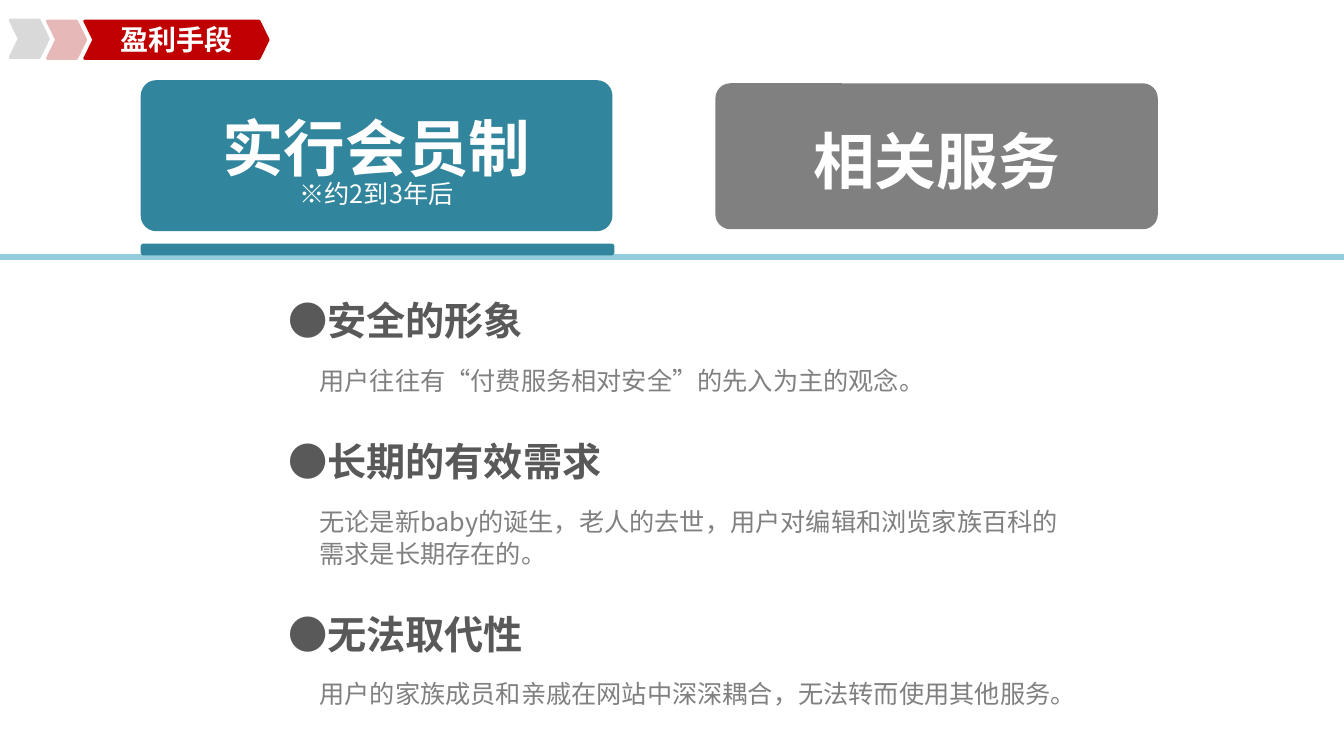
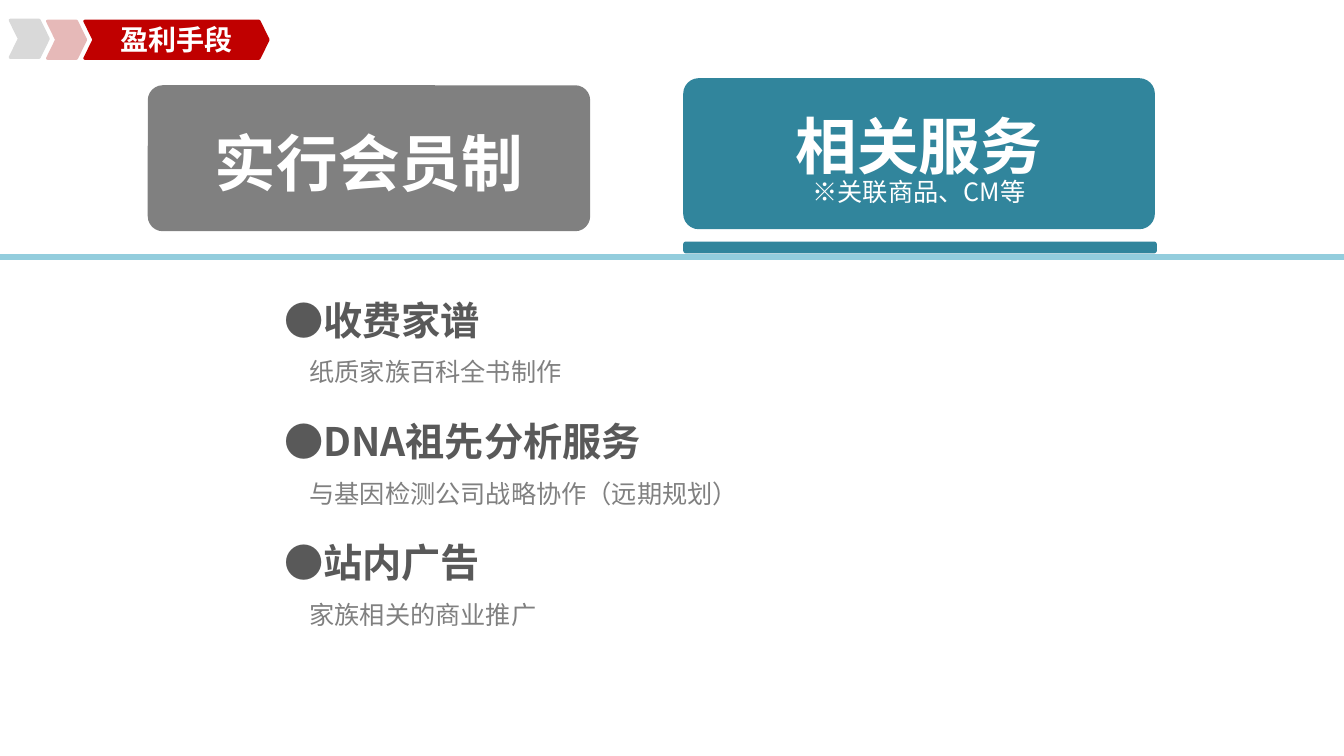
from lxml import etree
from pptx import Presentation
from pptx.dml.color import RGBColor
from pptx.enum import shapes, text
from pptx.oxml import ns
from pptx.util import Inches, Pt

FONT = "Noto Sans CJK SC"
WHITE = RGBColor(0xFF, 0xFF, 0xFF)
RED = RGBColor(0xC0, 0x00, 0x00)
PINK = RGBColor(0xE6, 0xB9, 0xB8)
SILVER = RGBColor(0xD9, 0xD9, 0xD9)
TEAL = RGBColor(0x31, 0x85, 0x9C)
SKY = RGBColor(0x93, 0xCD, 0xDD)
GREY = RGBColor(0x80, 0x80, 0x80)
CHARCOAL = RGBColor(0x59, 0x59, 0x59)

CHEVRONS = [(0.84, 0.21, 1.82, RED), (0.47, 0.21, 0.38, PINK), (0.1, 0.2, 0.38, SILVER)]
TITLE_ONLY = 5


class Deck:
    def __init__(self):
        self.deck = Presentation()
        self.deck.slide_width = Inches(13.33)
        self.deck.slide_height = Inches(7.5)
        self.page = None

    def add_page(self, title):
        self.page = self.deck.slides.add_slide(self.deck.slide_layouts[TITLE_ONLY])
        for left, top, width, color in CHEVRONS:
            self.shape(shapes.MSO_SHAPE.CHEVRON, left, top, width, 0.37, color, 0.245)
        self.title(title)
        self.rule(2.55)

    def title(self, words):
        box = self.page.shapes.title
        left, top, width, color = CHEVRONS[0]
        box.left, box.top = Inches(left), Inches(top)
        box.width, box.height = Inches(width), Inches(0.37)
        frame = box.text_frame
        frame.margin_top = frame.margin_bottom = 0
        frame.vertical_anchor = text.MSO_ANCHOR.MIDDLE
        para = frame.paragraphs[0]
        para.alignment = text.PP_ALIGN.CENTER
        self.span(para, words, 20, WHITE, True)
        box.element.getparent().append(box.element)

    def rule(self, top):
        line = self.page.shapes.add_connector(
            shapes.MSO_CONNECTOR.STRAIGHT, 0, Inches(top), self.deck.slide_width, Inches(top))
        line.line.color.rgb = SKY
        line.line.width = Pt(4.5)
        etree.SubElement(line.element.spPr, ns.qn("a:effectLst"))

    def shape(self, kind, left, top, width, height, color, adjustment=None):
        box = self.page.shapes.add_shape(
            kind, Inches(left), Inches(top), Inches(width), Inches(height))
        box.shadow.inherit = False
        box.fill.solid()
        box.fill.fore_color.rgb = color
        box.line.color.rgb = color
        box.line.width = Pt(2)
        if adjustment is not None:
            box.adjustments[0] = adjustment
        return box

    def span(self, para, words, size, color, bold=False):
        span = para.add_run()
        span.text = words
        span.font.name = FONT
        span.font.size = Pt(size)
        span.font.bold = bold
        span.font.color.rgb = color
        east_asian = etree.SubElement(span.font._element, ns.qn("a:ea"))
        east_asian.set("typeface", FONT)

    def tab(self, left, top, width, height, color, name, note=None):
        box = self.shape(
            shapes.MSO_SHAPE.ROUNDED_RECTANGLE, left, top, width, height, color, 0.095)
        frame = box.text_frame
        frame.vertical_anchor = text.MSO_ANCHOR.MIDDLE
        para = frame.paragraphs[0]
        para.alignment = text.PP_ALIGN.CENTER
        para.line_spacing = Pt(58)
        self.span(para, name, 44, WHITE, True)
        if note:
            para = frame.add_paragraph()
            para.alignment = text.PP_ALIGN.CENTER
            para.line_spacing = Pt(18)
            self.span(para, note, 18, WHITE)

    def active_tab(self, left, top, name, note):
        self.shape(shapes.MSO_SHAPE.ROUNDED_RECTANGLE, left, top + 1.62, 4.67, 0.09, TEAL)
        self.tab(left, top, 4.65, 1.47, TEAL, name, note)

    def idle_tab(self, left, top, name):
        self.tab(left, top, 4.36, 1.42, GREY, name)

    def points(self, left, width, height, indent, gaps, entries):
        box = self.page.shapes.add_textbox(
            Inches(left), Inches(2.86), Inches(width), Inches(height))
        frame = box.text_frame
        frame.word_wrap = True
        after_heading, after_body = gaps
        for number, (heading, *lines) in enumerate(entries):
            para = frame.add_paragraph() if number else frame.paragraphs[0]
            para.line_spacing = Pt(36)
            para.space_after = Pt(after_heading)
            self.span(para, "●" + heading, 28, CHARCOAL, True)
            para = frame.add_paragraph()
            para.line_spacing = Pt(23)
            para.space_after = Pt(after_body)
            properties = para._p.get_or_add_pPr()
            properties.set("marL", str(Inches(indent)))
            properties.set("indent", "0")
            for row, line in enumerate(lines):
                if row:
                    para.add_line_break()
                self.span(para, line, 18, GREY)


def main():
    deck = Deck()

    deck.add_page("盈利手段")
    deck.active_tab(1.41, 0.81, "实行会员制", "※约2到3年后")
    deck.idle_tab(7.11, 0.84, "相关服务")
    deck.points(2.76, 8.31, 4.26, 0.31, (14, 27.5), [
        ("安全的形象", "用户往往有“付费服务相对安全”的先入为主的观念。"),
        ("长期的有效需求", "无论是新baby的诞生，老人的去世，用户对编辑和浏览家族百科的",
         "需求是长期存在的。"),
        ("无法取代性", "用户的家族成员和亲戚在网站中深深耦合，无法转而使用其他服务。"),
    ])

    deck.add_page("盈利手段")
    deck.active_tab(6.79, 0.79, "相关服务", "※关联商品、CM等")
    deck.idle_tab(1.48, 0.86, "实行会员制")
    deck.points(2.72, 6.75, 3.75, 0.25, (8, 19.5), [
        ("收费家谱", "纸质家族百科全书制作"),
        ("DNA祖先分析服务", "与基因检测公司战略协作（远期规划）"),
        ("站内广告", "家族相关的商业推广"),
    ])

    deck.deck.save("out.pptx")


if __name__ == "__main__":
    main()
